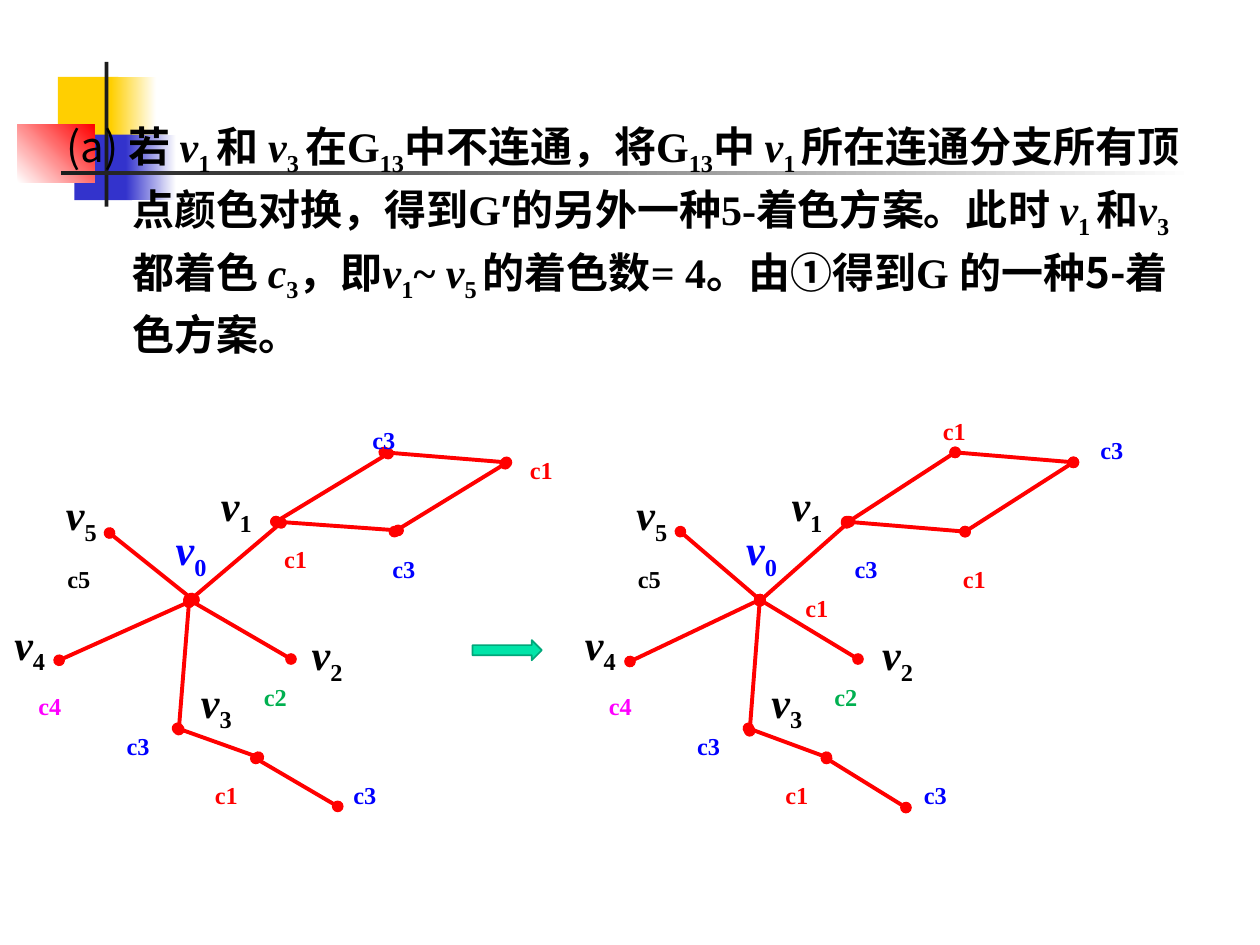
from lxml import etree
from pptx import Presentation
from pptx.dml.color import RGBColor
from pptx.enum.shapes import MSO_CONNECTOR, MSO_SHAPE
from pptx.enum.text import MSO_ANCHOR, PP_ALIGN
from pptx.oxml.ns import qn
from pptx.util import Pt

STRAIGHT = MSO_CONNECTOR.STRAIGHT
RECTANGLE, RIGHT_ARROW = MSO_SHAPE.RECTANGLE, MSO_SHAPE.RIGHT_ARROW
TOP, MIDDLE = MSO_ANCHOR.TOP, MSO_ANCHOR.MIDDLE
LEFT, CENTER = PP_ALIGN.LEFT, PP_ALIGN.CENTER

HAN, ROMAN, PRIME = "Noto Sans CJK SC", "Times New Roman", "Arial"
COLORS = {
    "black": "000000", "white": "FFFFFF", "red": "FF0000", "blue": "0000FF",
    "green": "00B050", "magenta": "FF00FF", "yellow": "FFCF01",
    "indigo": "3333CC", "charcoal": "1C1C1C", "mint": "00E4A8", "teal": "00A77A",
}
LABEL_COLORS = {"c1": "red", "c2": "green", "c3": "blue", "c4": "magenta", "c5": "black"}

# left, top, width, height, fill colours (two colours make a gradient), angle
DECORATION = [
    (33.1, 43.9, 34.6, 37.4, ["yellow"], 0),
    (63.4, 43.9, 25.9, 37.4, ["yellow", "white"], 0),
    (42.5, 77, 33.1, 37.4, ["indigo"], 0),
    (72, 77, 28.8, 37.4, ["indigo", "white"], 0),
    (10.1, 71.3, 43.9, 33.1, ["white", "red"], 45),
    (59.8, 35.3, 2.2, 82.8, ["charcoal"], 0),
    (34.6, 97.9, 648, 2.2, ["charcoal", "white"], 0),
]

RUN_STYLES = {
    "han": {"font": HAN},
    "plain": {"font": HAN, "bold": False},
    "roman": {"font": ROMAN},
    "italic": {"font": ROMAN, "italic": True},
    "sub": {"font": ROMAN, "subscript": True},
    "prime": {"font": PRIME},
}
PROOF = [
    ("(a) ", "plain"), ("若 ", "han"), ("v", "italic"), ("1 ", "sub"),
    ("和 ", "han"), ("v", "italic"), ("3 ", "sub"), ("在", "han"),
    ("G", "roman"), ("13", "sub"), ("中不连通，将", "han"),
    ("G", "roman"), ("13", "sub"), ("中 ", "han"), ("v", "italic"), ("1 ", "sub"),
    ("所在连通分支所有顶点颜色对换，得到", "han"), ("G", "roman"), ("′", "prime"),
    ("的另外一种", "han"), ("5-", "roman"), ("着色方案。此时 ", "han"),
    ("v", "italic"), ("1 ", "sub"), ("和", "han"), ("v", "italic"), ("3 ", "sub"),
    ("都着色 ", "han"), ("c", "italic"), ("3", "sub"), ("，即", "han"),
    ("v", "italic"), ("1", "sub"), ("~ ", "roman"), ("v", "italic"), ("5 ", "sub"),
    ("的着色数", "han"), ("= 4", "roman"), ("。由①得到", "han"), ("G ", "roman"),
    ("的一种5-着色方案。", "han"),
]

# Label positions of the left graph; the right graph lies GRAPH_SHIFT further on
GRAPH_SHIFT = 326
VERTEX_LABELS = [("0", 92.2, 299.2), ("2", 169.9, 359), ("1", 118.1, 274),
                 ("5", 29.5, 279), ("4", 0, 353.2), ("3", 106.6, 386.3)]
FIXED_COLORS = [("c2", 140.4, 373.7), ("c3", 61.9, 401.8), ("c4", 11.5, 378.7),
                ("c5", 28.1, 306), ("c1", 112.3, 429.8), ("c3", 191.5, 429.8)]
COLORS_BEFORE = [("c1", 151.9, 294.5), ("c3", 213.8, 300.2),
                 ("c3", 202.3, 226.8), ("c1", 292.3, 244.1)]
COLORS_AFTER = [("c3", 151.9, 300.2), ("c1", 213.8, 306), ("c1", 202.3, 221.8),
                ("c3", 292.3, 232.6), ("c1", 123.8, 322.6)]

EDGES_BEFORE = [
    (108, 343.4, 160.6, 298.8), (108, 342.7, 166.3, 376.6),
    (102.2, 416.9, 108, 344.2), (62.6, 304.6, 109.4, 342),
    (33.8, 377.3, 110.9, 342.7), (157.7, 298.1, 221.8, 259.2),
    (157.7, 298.1, 227.5, 303.1), (219.6, 258.5, 289.4, 264.2),
    (225.4, 303.8, 288.7, 265), (101.5, 416.2, 147.6, 432.7),
    (146.2, 433.4, 193, 460.8),
]
EDGES_AFTER = [
    (434.2, 343.4, 485.3, 298.1), (434.2, 342.7, 490.3, 376.6),
    (428.4, 417.6, 434.2, 342.7), (388.8, 303.8, 434.2, 342.7),
    (360, 378, 434.2, 342.7), (483.8, 298.8, 545.8, 258.5),
    (483.8, 298.1, 551.5, 303.8), (545.8, 258.5, 613.4, 264.2),
    (551.5, 303.8, 613.4, 264.2), (427.7, 416.2, 472.3, 432.7),
    (472.3, 433.4, 517.7, 461.5),
]


def rgb(name):
    return RGBColor.from_string(COLORS[name])


def add_run(paragraph, text, *, font, size=24, color="black", bold=True,
            italic=False, subscript=False):
    run = paragraph.add_run()
    run.text = text
    run.font.name, run.font.size = font, Pt(size)
    run.font.bold, run.font.italic = bold, italic
    run.font.color.rgb = rgb(color)
    properties = run._r.get_or_add_rPr()
    etree.SubElement(properties, qn("a:ea")).set("typeface", HAN)
    if subscript:
        properties.set("baseline", "-25000")


class GraphSlide:
    """Holds the slide and the shared look of its elements."""
    label_size = (34, 33.1)
    edge_color, edge_width = "red", 2.25

    def __init__(self, presentation):
        self.slide = presentation.slides.add_slide(presentation.slide_layouts[1])
        title = self.slide.shapes.title.element
        title.getparent().remove(title)

    def block(self, kind, left, top, width, height, fills, angle=0, outline=None):
        shape = self.slide.shapes.add_shape(kind, Pt(left), Pt(top), Pt(width), Pt(height))
        shape.shadow.inherit = False
        if len(fills) == 1:
            shape.fill.solid()
            shape.fill.fore_color.rgb = rgb(fills[0])
        else:
            shape.fill.gradient()
            shape.fill.gradient_angle = angle
            for stop, name in zip(shape.fill.gradient_stops, fills):
                stop.color.rgb = rgb(name)
        if outline:
            shape.line.color.rgb = rgb(outline)
            shape.line.width = Pt(1)
        else:
            shape.line.fill.background()

    def body(self, left, top, width, height, runs, margin, first_line):
        shape = self.slide.placeholders[1]
        self.slide.shapes.element.append(shape.element)  # bring to front
        shape.left, shape.top, shape.width, shape.height = map(Pt, (left, top, width, height))
        shape.text_frame.vertical_anchor = TOP
        paragraph = shape.text_frame.paragraphs[0]
        paragraph.alignment = LEFT
        paragraph.line_spacing = 1.1
        paragraph.space_before = Pt(0)
        properties = paragraph._p.get_or_add_pPr()
        properties.set("marL", str(Pt(margin)))
        properties.set("indent", str(Pt(first_line)))
        etree.SubElement(properties, qn("a:buNone"))
        for text, style in runs:
            add_run(paragraph, text, **RUN_STYLES[style])

    def edge(self, group, x1, y1, x2, y2):
        connector = group.shapes.add_connector(STRAIGHT, Pt(x1), Pt(y1), Pt(x2), Pt(y2))
        connector.line.color.rgb = rgb(self.edge_color)
        connector.line.width = Pt(self.edge_width)
        line = connector.line._get_or_add_ln()
        for end in ("a:headEnd", "a:tailEnd"):
            etree.SubElement(line, qn(end)).set("type", "oval")
        etree.SubElement(connector.element.spPr, qn("a:effectLst"))

    def label(self, group, left, top, runs, color):
        box = group.shapes.add_textbox(Pt(left), Pt(top), *map(Pt, self.label_size))
        frame = box.text_frame
        frame.word_wrap = True
        frame.vertical_anchor = MIDDLE
        frame.margin_left = frame.margin_right = frame.margin_top = frame.margin_bottom = 0
        paragraph = frame.paragraphs[0]
        paragraph.alignment = CENTER
        for text, style in runs:
            add_run(paragraph, text, color=color, **RUN_STYLES[style])

    def graph(self, edges, color_labels, shift=0):
        group = self.slide.shapes.add_group_shape()
        for ends in edges:
            self.edge(group, *ends)
        for index, left, top in VERTEX_LABELS:
            color = "blue" if index == "0" else "black"
            self.label(group, left + shift, top, [("v", "italic"), (index, "sub")], color)
        for name, left, top in FIXED_COLORS + color_labels:
            self.label(group, left + shift, top, [(name, "sub")], LABEL_COLORS[name])


def main():
    presentation = Presentation()
    presentation.slide_width, presentation.slide_height = Pt(720), Pt(540)
    page = GraphSlide(presentation)
    for left, top, width, height, fills, angle in DECORATION:
        page.block(RECTANGLE, left, top, width, height, fills, angle)
    page.graph(EDGES_BEFORE, COLORS_BEFORE)
    page.body(20.2, 61.9, 663.1, 153.4, PROOF, margin=48.2, first_line=-37.5)
    page.graph(EDGES_AFTER, COLORS_AFTER, GRAPH_SHIFT)
    page.block(RIGHT_ARROW, 270, 365.8, 39.6, 11.5, ["mint"], outline="teal")
    presentation.save("out.pptx")


if __name__ == "__main__":
    main()
